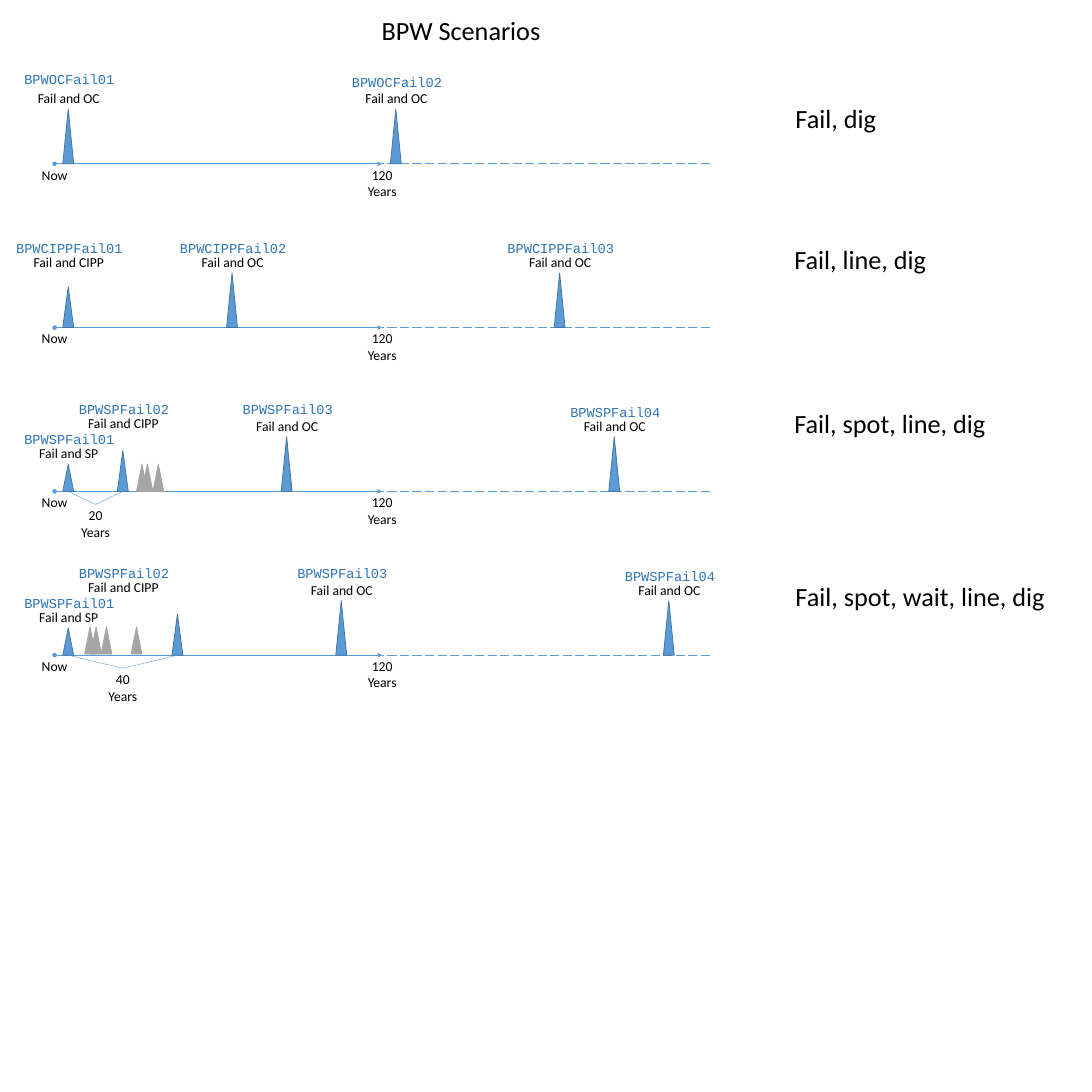
from pptx import Presentation
from pptx.dml.color import RGBColor
from pptx.enum.dml import MSO_LINE
from pptx.enum.shapes import MSO_CONNECTOR, MSO_SHAPE
from pptx.enum.text import MSO_AUTO_SIZE, PP_ALIGN
from pptx.oxml.ns import qn
from pptx.util import Inches, Pt
from lxml import etree

STRAIGHT = MSO_CONNECTOR.STRAIGHT
TRIANGLE = MSO_SHAPE.ISOSCELES_TRIANGLE
LONG_DASH = MSO_LINE.LONG_DASH
GROW = MSO_AUTO_SIZE.SHAPE_TO_FIT_TEXT
CENTER, LEFT = PP_ALIGN.CENTER, PP_ALIGN.LEFT

COLORS = {name: RGBColor.from_string(value) for name, value in {
    "blue": "5B9BD5", "outline": "43739E", "gray": "A5A5A5",
    "code": "2E75B6", "black": "000000"}.items()}
LABEL_WIDTHS = {"Fail and OC": 1.35, "Fail and CIPP": 1.51, "Fail and SP": 1.3}
START, HORIZON, END = 1, 7, 13
FIRST_FAIL = 1.25

deck = Presentation()
deck.slide_width = deck.slide_height = Inches(20)
page = deck.slides.add_slide(deck.slide_layouts[6])


def add_text(text, left, top, width, height=0.4, size=18, font="Calibri",
             color="black", align=CENTER, wrap=True):
    box = page.shapes.add_textbox(Inches(left), Inches(top), Inches(width), Inches(height))
    frame = box.text_frame
    frame.text = text
    frame.word_wrap = wrap
    frame.auto_size = GROW
    for para in frame.paragraphs:
        para.alignment = align
        for span in para.runs:
            span.font.size = Pt(size)
            span.font.name = font
            span.font.color.rgb = COLORS[color]


def add_line(x1, y1, x2, y2, width):
    line = page.shapes.add_connector(STRAIGHT, Inches(x1), Inches(y1), Inches(x2), Inches(y2))
    line.line.color.rgb = COLORS["blue"]
    line.line.width = Pt(width)
    etree.SubElement(line._element.spPr, qn("a:effectLst"))
    return line


# Events: peak x, text x, peak height, code rise, label, label rise
# Scenarios: baseline, code prefix, events, gray peaks, gray base, wait in years, wait end
scenarios = [
    (3, "BPWOCFail",
     [(1.25, 1.25, 1, 1.75, "Fail and OC", 1.4),
      (7.25, 7.25, 1, 1.7, "Fail and OC", 1.4)], [], 3, None, None),
    (6, "BPWCIPPFail",
     [(1.25, 1.25, 0.75, 1.65, "Fail and CIPP", 1.4),
      (4.25, 4.25, 1, 1.65, "Fail and OC", 1.4),
      (10.25, 10.25, 1, 1.65, "Fail and OC", 1.4)], [], 6, None, None),
]
for baseline, wait, wait_end, gray_peaks, gray_base in [
        (9, 20, 2.25, [2.6, 2.7, 2.9], 9),
        (12, 40, 3.25, [1.65, 1.76, 1.95, 2.5], 11.98)]:
    events = [(FIRST_FAIL, FIRST_FAIL, 0.5, 1.15, "Fail and SP", 0.9),
              (wait_end, 2.25, 0.75, 1.7, "Fail and CIPP", 1.45),
              (wait_end + 3, wait_end + 3, 1, 1.7, "Fail and OC", 1.4),
              (wait_end + 9, wait_end + 9, 1, 1.65, "Fail and OC", 1.4)]
    scenarios.append((baseline, "BPWSPFail", events, gray_peaks, gray_base, wait, wait_end))

for baseline, prefix, events, gray_peaks, gray_base, wait, wait_end in scenarios:
    # Timeline with its dashed extension
    axis = add_line(START, baseline, HORIZON, baseline, 1.5)
    outline = axis.line._get_or_add_ln()
    etree.SubElement(outline, qn("a:headEnd"), type="oval")
    etree.SubElement(outline, qn("a:tailEnd"), type="triangle")
    extension = add_line(END, baseline, HORIZON, baseline, 1.5)
    extension.line.dash_style = LONG_DASH
    add_text("Now", START - 0.5, baseline, 1)
    add_text("120\nYears", HORIZON - 0.5, baseline, 1, 0.71)

    # Gray and blue peaks
    peaks = [(x, gray_base, 0.5, "gray", "gray") for x in gray_peaks]
    peaks += [(event[0], baseline, event[2], "blue", "outline") for event in events]
    for x, base, height, fill, edge in peaks:
        peak = page.shapes.add_shape(TRIANGLE, Inches(x - 0.1), Inches(base - height),
                                     Inches(0.2), Inches(height))
        peak.shadow.inherit = False
        peak.fill.solid()
        peak.fill.fore_color.rgb = COLORS[fill]
        peak.line.color.rgb = COLORS[edge]
        peak.line.width = Pt(1)

    # Event codes and labels
    for number, (_, x, _, code_rise, label, label_rise) in enumerate(events, 1):
        code = f"{prefix}{number:02}"
        code_width = 0.15 * len(code) + 0.21
        add_text(code, x + 0.02 - code_width / 2, baseline - code_rise, code_width,
                 font="Courier New", color="code", wrap=False)
        label_width = LABEL_WIDTHS[label]
        add_text(label, x + 0.01 - label_width / 2, baseline - label_rise, label_width,
                 wrap=False)

    # Waiting time bracket
    if wait:
        middle = (FIRST_FAIL + wait_end) / 2
        tip = baseline + 0.24
        add_line(FIRST_FAIL, baseline, middle, tip, 0.5)
        add_line(middle, tip, wait_end, baseline, 0.5)
        add_text(f"{wait}\nYears", middle - 0.5, tip, 1, 0.71)

# Title and scenario names
for text, left, top, width in [
        ("BPW Scenarios", 6.89, 0.22, 3.2),
        ("Fail, dig", 14.47, 1.82, 2.08),
        ("Fail, line, dig", 14.45, 4.41, 3.4),
        ("Fail, spot, line, dig", 14.45, 7.41, 3.8),
        ("Fail, spot, wait, line, dig", 14.47, 10.57, 4.78)]:
    add_text(text, left, top, width, 0.68, size=34.6, align=LEFT)

deck.save("out.pptx")
